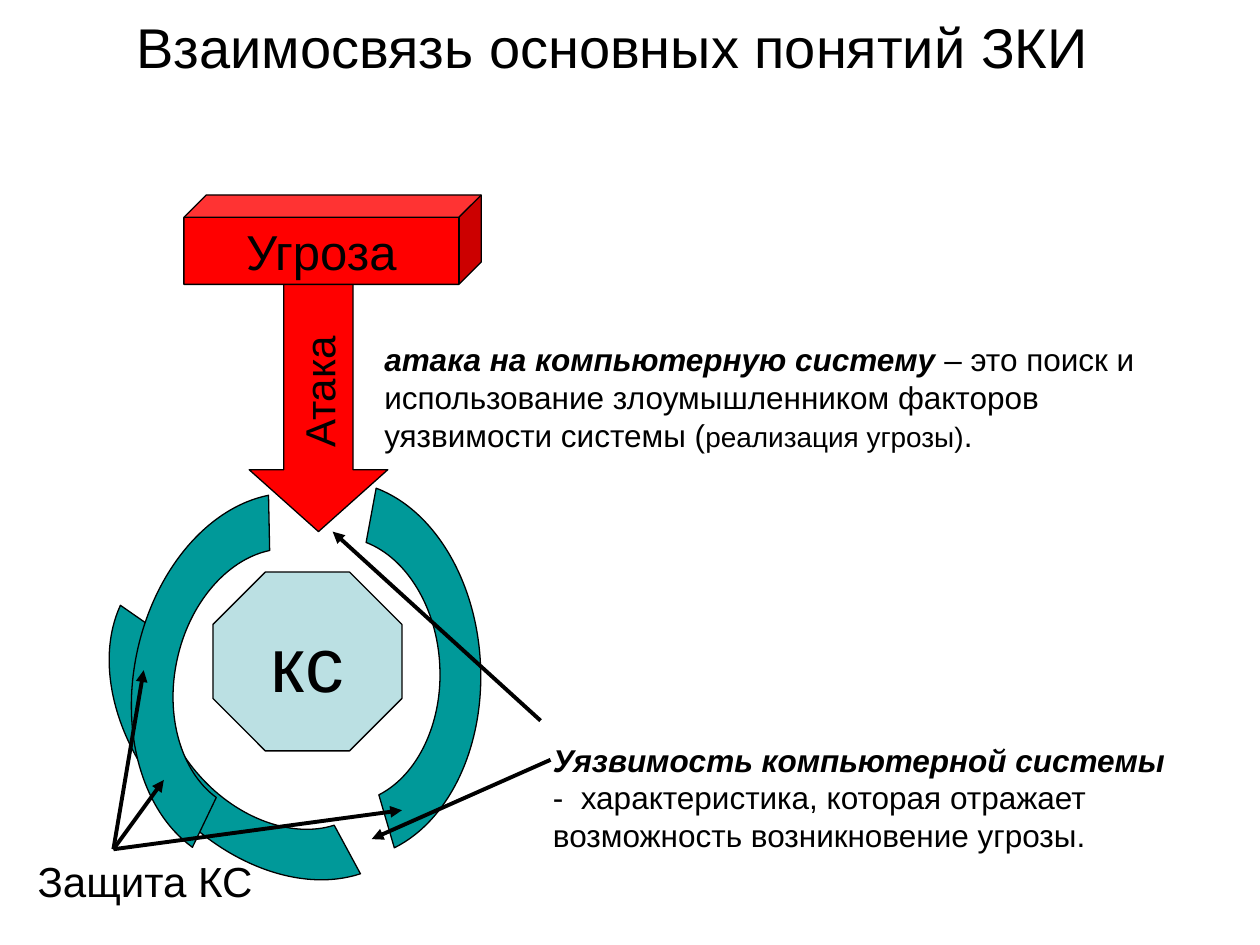
"""Build a slide on threats, attacks and protection of a computer system."""
from lxml import etree
from pptx import Presentation
from pptx.dml.color import RGBColor
from pptx.enum.shapes import MSO_CONNECTOR, MSO_SHAPE
from pptx.enum.text import MSO_ANCHOR, PP_ALIGN
from pptx.oxml.ns import qn
from pptx.util import Pt

LINE = MSO_CONNECTOR.STRAIGHT
CUBE, DOWN, OCTAGON = MSO_SHAPE.CUBE, MSO_SHAPE.DOWN_ARROW, MSO_SHAPE.OCTAGON
MIDDLE, TOP = MSO_ANCHOR.MIDDLE, MSO_ANCHOR.TOP
CENTER, LEFT = PP_ALIGN.CENTER, PP_ALIGN.LEFT

BLACK, RED, TEAL, PALE = "000000", "FF0000", "009999", "BBE0E3"
STRONG = {"bold": True, "italic": True}

WIDE, HIGH = 215.3, 158.4
INNER = [(-72.2, -17.4), (-62, -40.3), (-32.7, -56), (0, -55.9)]
OUTER = [(-102.9, -24.7), (-88.7, -57.2), (-47.3, -79.2), (0, -79.2)]
BANDS = [(48.2, 326.9, 228.2), (87.8, 303.8, 87.1), (48.2, 309.6, 282.2)]

GUARD = (64.8, 485.3)
ARROWS = [
    (GUARD, (229.7, 463)),
    (GUARD, (82.1, 383)),
    (GUARD, (93.6, 445.7)),
    ((308.9, 411.8), (190.1, 303.8)),
    ((314.6, 434.2), (212.4, 479.5)),
]

SHAPES = [
    (OCTAGON, (121.7, 326.9, 108, 102.2), [0.293], PALE, "кс", 44, "horz"),
    (DOWN, (142.4, 162, 79.2, 141.8), [0.5, 0.446], RED, "Атака", 24, "vert270"),
    (CUBE, (105.1, 111.4, 169.9, 51.1), [0.25], RED, "Угроза", 28, "horz"),
]

TEXTS = [
    ((2.7, 3.6, 694.8, 45.4), CENTER, MIDDLE, True,
     [("Взаимосвязь основных понятий ЗКИ", 32, {})]),
    ((14.4, 485.3, 137.5, 36), LEFT, TOP, False, [("Защита КС", 24, {})]),
    ((308.9, 419.6, 374.4, 72), LEFT, MIDDLE, True,
     [("Уязвимость компьютерной системы", 18, STRONG),
      (" -  характеристика, которая отражает возможность возникновение угрозы.",
       18, {})]),
    ((212.5, 190.8, 465.1, 72), LEFT, MIDDLE, True,
     [("атака на компьютерную систему ", 18, STRONG),
      ("– это поиск и использование злоумышленником факторов "
       "уязвимости системы (", 18, {}),
      ("реализация угрозы)", 16, {}), (".", 18, {})]),
]


def color(code):
    return RGBColor.from_string(code)


def points(pair):
    return [Pt(v) for v in pair]


def assign(target, values):
    for name, value in values.items():
        setattr(target, name, value)


def write(frame, runs, align, anchor, wrap):
    assign(frame, {"word_wrap": wrap, "vertical_anchor": anchor})
    para = frame.paragraphs[0]
    para.alignment = align
    for text, size, style in runs:
        run = para.add_run()
        run.text = text
        assign(run.font, {"name": "Arial", "size": Pt(size), **style})
        run.font.color.rgb = color(BLACK)


def paint(shape, fill):
    shape.shadow.inherit = False
    shape.fill.solid()
    shape.fill.fore_color.rgb = color(fill)
    shape.line.color.rgb = color(BLACK)
    shape.line.width = Pt(0.75)


def mirror(half):
    return half + [(-x, y) for x, y in half[-2::-1]]


def add_band(shapes, left, top, angle):
    inner, outer = mirror(INNER), mirror(OUTER)[::-1]
    knots = [points((x + WIDE / 2, y + HIGH / 2)) for x, y in inner + outer]
    pen = shapes.build_freeform(*knots[0])
    pen.add_line_segments(knots[1:], close=True)
    shape = pen.convert_to_shape()
    assign(shape, {"left": Pt(left), "top": Pt(top), "width": Pt(WIDE),
                   "height": Pt(HIGH), "rotation": angle})
    track = shape._element.spPr.find(".//" + qn("a:path"))
    track.set("w", str(Pt(WIDE)))
    track.set("h", str(Pt(HIGH)))
    for old in list(track):
        track.remove(old)
    marks = iter(knots)
    for tag, count in [("moveTo", 1), ("cubicBezTo", 3), ("cubicBezTo", 3),
                       ("lnTo", 1), ("cubicBezTo", 3), ("cubicBezTo", 3),
                       ("close", 0)]:
        move = etree.SubElement(track, qn("a:" + tag))
        for _ in range(count):
            x, y = next(marks)
            etree.SubElement(move, qn("a:pt"), x=str(x), y=str(y))
    paint(shape, TEAL)


def add_arrow(shapes, start, end):
    link = shapes.add_connector(LINE, *points(start + end))
    link.line.color.rgb = color(BLACK)
    link.line.width = Pt(2.25)
    props = link._element.spPr
    etree.SubElement(props.find(qn("a:ln")), qn("a:tailEnd"), type="triangle")
    etree.SubElement(props, qn("a:effectLst"))


def add_block(shapes, kind, box, adjust, fill, text, size, turn):
    shape = shapes.add_shape(kind, *points(box))
    for i, value in enumerate(adjust):
        shape.adjustments[i] = value
    paint(shape, fill)
    write(shape.text_frame, [(text, size, {})], CENTER, MIDDLE, False)
    shape.text_frame._txBody.bodyPr.set("vert", turn)


def main():
    deck = Presentation()
    assign(deck, {"slide_width": Pt(720), "slide_height": Pt(540)})
    shapes = deck.slides.add_slide(deck.slide_layouts[6]).shapes
    for band in BANDS:
        add_band(shapes, *band)
    for block in SHAPES:
        add_block(shapes, *block)
    for box, align, anchor, wrap, runs in TEXTS:
        frame = shapes.add_textbox(*points(box)).text_frame
        write(frame, runs, align, anchor, wrap)
    for arrow in ARROWS:
        add_arrow(shapes, *arrow)
    deck.save("out.pptx")


if __name__ == "__main__":
    main()
